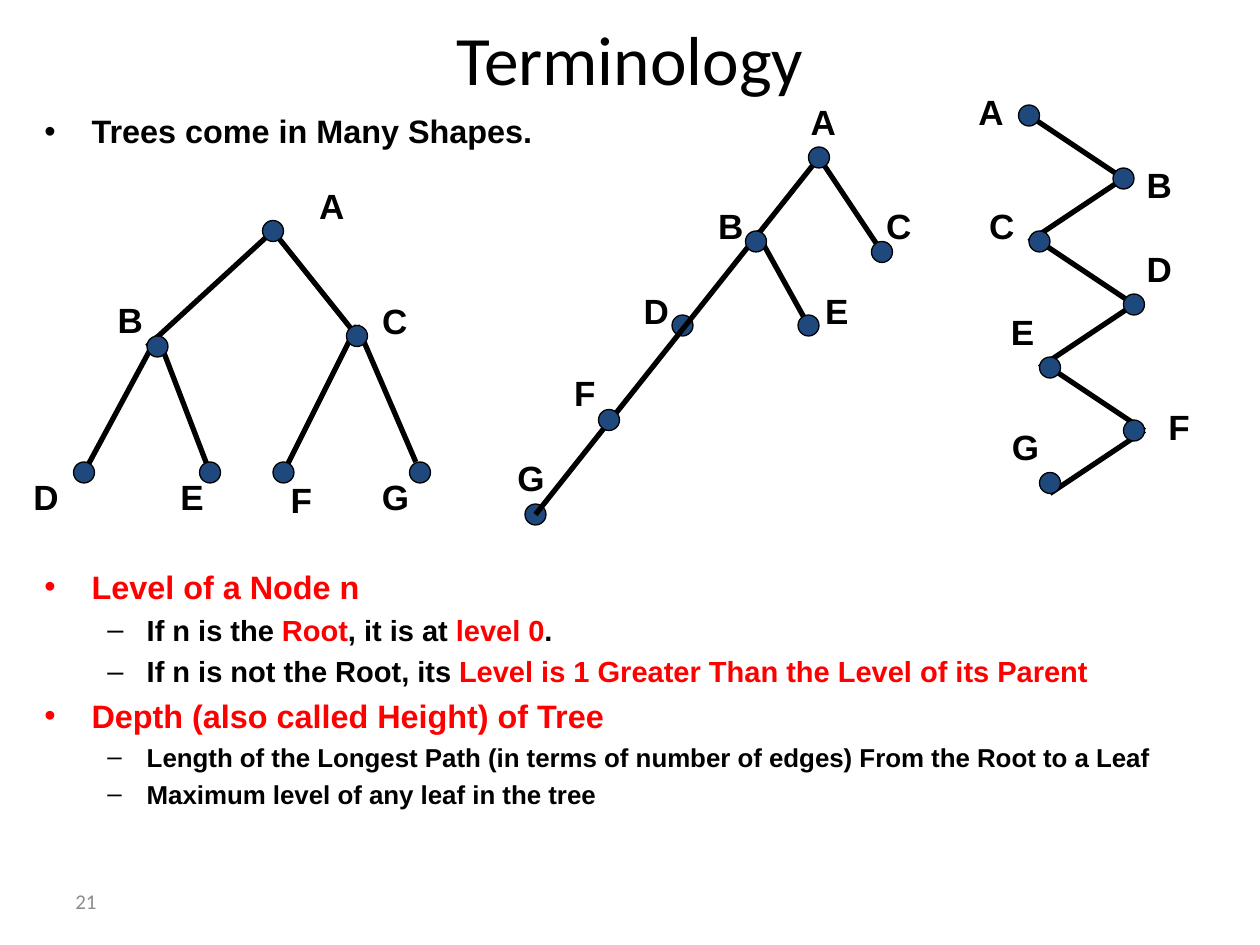
"""Build the tree terminology slide with three tree drawings and a list."""
import dataclasses
import pptx
import pptx.util
import pptx.dml.color
import pptx.enum.shapes
import pptx.enum.text
import pptx.oxml

Cm, Pt = pptx.util.Cm, pptx.util.Pt
Rgb = pptx.dml.color.RGBColor.from_string
Align = pptx.enum.text.PP_ALIGN
Anchor = pptx.enum.text.MSO_ANCHOR
Fit = pptx.enum.text.MSO_AUTO_SIZE


@dataclasses.dataclass
class Theme:
    ink: str = "000000"
    red: str = "FF0000"
    node: str = "1F497D"
    gray: str = "8C8C8C"
    head: float = 39.6
    top: float = 18.5
    sub: float = 16.6
    small: float = 14.8
    mark: float = 20
    foot: float = 12
    edge: float = 3
    rim: float = 0.75
    sans: str = "Calibri"
    body: str = "Arial"


def apply(item, form):
    for key, value in form.items():
        setattr(item, key, value)


def grid(n):
    return Cm(2.54 * n / 12)


class Board:
    def __init__(self, slide, theme):
        self.slide, self.theme = slide, theme

    def run(self, para, text, size, ink, name, bold=False):
        run = para.add_run()
        run.text = text
        apply(run.font, dict(size=Pt(size), name=name, bold=bold))
        run.font.color.rgb = Rgb(ink)

    def place(self, shape, left, top, width, height):
        apply(shape, dict(left=Cm(left), top=Cm(top), width=Cm(width), height=Cm(height)))

    def title(self, text):
        shape = self.slide.shapes.title
        self.place(shape, 1.9, 0.21, 21.6, 1.9)
        apply(shape.text_frame, dict(auto_size=Fit.NONE, vertical_anchor=Anchor.MIDDLE))
        para = shape.text_frame.paragraphs[0]
        para.alignment = Align.CENTER
        self.run(para, text, self.theme.head, self.theme.ink, self.theme.sans)

    def bullets(self, items):
        shape = self.slide.placeholders[1]
        self.place(shape, 0.64, 2.12, 23.7, 15.03)
        frame = shape.text_frame
        apply(frame, dict(auto_size=Fit.NONE, vertical_anchor=Anchor.TOP))
        for i, (level, size, gap, parts) in enumerate(items):
            para = frame.add_paragraph() if i else frame.paragraphs[0]
            apply(para, dict(level=level, space_before=Pt(gap)))
            for text, ink in parts:
                self.run(para, text, size, ink, self.theme.body, True)

    def text(self, text, box, size, ink, name, align, bold=False, wrap=False):
        shape = self.slide.shapes.add_textbox(*box)
        frame = shape.text_frame
        apply(frame, dict(word_wrap=wrap, vertical_anchor=Anchor.MIDDLE))
        frame.paragraphs[0].alignment = align
        self.run(frame.paragraphs[0], text, size, ink, name, bold)

    def label(self, text, x, y):
        wide, high = Cm(1.02), Cm(1.1)
        box = (grid(x) - wide // 2, grid(y) - high // 2, wide, high)
        self.text(text, box, self.theme.mark, self.theme.ink, self.theme.body,
                  Align.CENTER, True)

    def line(self, start, end):
        kind = pptx.enum.shapes.MSO_CONNECTOR.STRAIGHT
        line = self.slide.shapes.add_connector(kind, *map(grid, start + end))
        line.line.width = Pt(self.theme.edge)
        line.line.color.rgb = Rgb(self.theme.ink)
        props = line._element.spPr
        props.append(pptx.oxml.parse_xml(
            '<a:effectLst xmlns:a="http://schemas.openxmlformats.org/drawingml/2006/main"/>'))

    def node(self, x, y):
        oval = pptx.enum.shapes.MSO_SHAPE.OVAL
        dot = self.slide.shapes.add_shape(oval, grid(x - 1), grid(y - 1), grid(2), grid(2))
        dot.shadow.inherit = False
        dot.fill.solid()
        dot.fill.fore_color.rgb = Rgb(self.theme.node)
        dot.line.width = Pt(self.theme.rim)
        dot.line.color.rgb = Rgb(self.theme.ink)

    def tree(self, links, nodes, under=""):
        for name in under:
            self.node(*nodes[name][:2])
        for start, end in links:
            self.line(start, end)
        for name, (x, y, across, down) in nodes.items():
            if name not in under:
                self.node(x, y)
            self.label(name, across, down)


deck = pptx.Presentation()
apply(deck, dict(slide_width=Cm(25.4), slide_height=Cm(19.05)))
theme = Theme()
board = Board(deck.slides.add_slide(deck.slide_layouts[1]), theme)
ink, red = theme.ink, theme.red

board.title("Terminology")
board.bullets([
    (0, theme.top, 4.3, [("Trees come in Many Shapes.", ink)]),
    (0, theme.top, 238, [("Level of a Node n", red)]),
    (1, theme.sub, 3.8, [("If n is the ", ink), ("Root", red), (", it is at ", ink),
                         ("level 0", red), (".", ink)]),
    (1, theme.sub, 3.8, [("If n is not the Root, its ", ink),
                         ("Level is 1 Greater Than the Level of its Parent", red)]),
    (0, theme.top, 4.3, [("Depth (also called Height) of Tree", red)]),
    (1, theme.small, 3.4, [("Length of the Longest Path (in terms of number of edges) "
                            "From the Root to a Leaf", ink)]),
    (1, theme.small, 3.4, [("Maximum level of any leaf in the tree", ink)]),
])
board.text("21", (Cm(1.27), Cm(17.65), Cm(5.92), Cm(1.02)), theme.foot, theme.gray,
           theme.sans, Align.LEFT, wrap=True)

full = {
    "A": (26, 22, 31.6, 19.6), "B": (15, 33, 12.4, 30.4), "C": (34, 32, 37.6, 30.5),
    "D": (8, 45, 4.4, 47.3), "E": (20, 45, 18.3, 47.3), "F": (27, 45, 28.7, 47.6),
    "G": (40, 45, 37.6, 47.3),
}
board.tree([((26, 22), (14, 33)), ((26, 22), (34, 32)),
            ((15, 32), (8, 45)), ((15, 32), (20, 45)),
            ((34, 31), (27, 45)), ((34, 31), (39.6, 44))], full)

lean = {
    "A": (78, 15, 78.4, 11.6), "B": (72, 23, 69.6, 21.5), "C": (84, 24, 85.6, 21.5),
    "D": (65, 31, 62.5, 29.6), "E": (77, 31, 79.7, 29.6), "F": (58, 40, 55.7, 37.4),
    "G": (51, 49, 50.5, 45.5),
}
board.tree([((51, 49), (78, 15)), ((78, 15), (84, 24)), ((72, 22), (77, 31))], lean, "DG")

chain = {
    "A": (98, 11, 94.4, 10.6), "B": (107, 17, 110.4, 17.6), "C": (99, 23, 95.4, 21.5),
    "D": (108, 29, 110.4, 25.6), "E": (100, 35, 97.4, 31.6), "F": (108, 41, 112.3, 40.6),
    "G": (100, 46, 97.6, 42.5),
}
zigzag = []
for i in range(3):
    x, y = 98 + i, 11 + 12 * i
    zigzag += [((x, y), (x + 9, y + 6)), ((x + 9, y + 6), (x, y + 12))]
board.tree(zigzag, chain)

deck.save("out.pptx")
